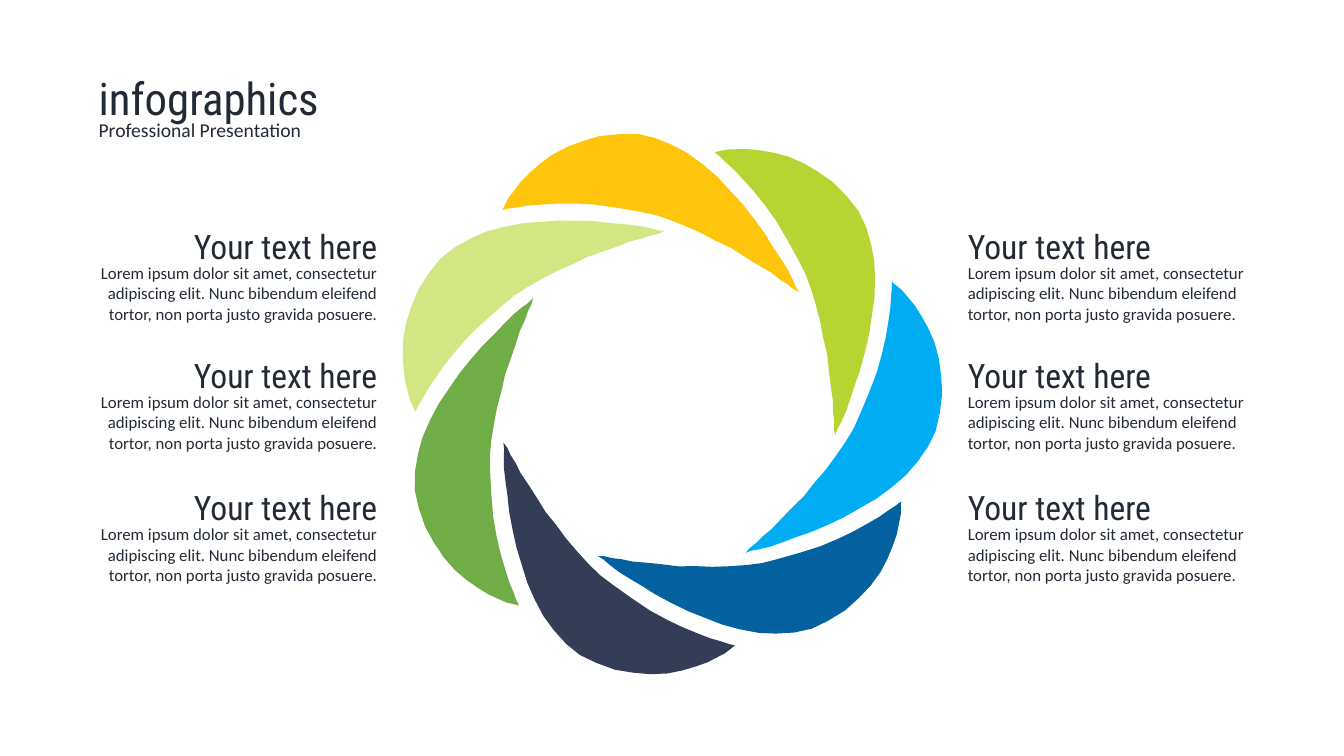
import math
from dataclasses import dataclass

import pptx
import pptx.dml.color
import pptx.enum.text
import pptx.util


@dataclass(frozen=True)
class Theme:
    ink: str = "222A35"
    blades: tuple = ("70AD47", "D3E684", "FFC50C", "B6D532",
                     "00ADF2", "03619F", "333D56")
    head_font: str = "Roboto Condensed"
    body_font: str = "Calibri"
    title: int = 32
    subtitle: int = 14
    heading: int = 24
    body: int = 12


THEME = Theme()
SLIDE_W, SLIDE_H = pptx.util.Inches(13.33), pptx.util.Inches(7.5)
CELL = SLIDE_H / 750  # the layout grid has 750 rows of square cells

LEFT = pptx.enum.text.PP_ALIGN.LEFT
RIGHT = pptx.enum.text.PP_ALIGN.RIGHT

HEADING = "Your text here"
BODY = ("Lorem ipsum dolor sit amet, consectetur adipiscing elit. "
        "Nunc bibendum eleifend tortor, non porta justo gravida posuere.")

# One blade in cells from the wheel's centre: outer edge, then inner edge
BLADE = [
    (-165, -190), (-164, -191), (-162, -195), (-159, -201), (-153, -209),
    (-147, -217), (-138, -226), (-128, -235), (-116, -244), (-101, -252),
    (-85, -258), (-68, -263), (-48, -265), (-30, -265), (-13, -261),
    (4, -254), (19, -246), (34, -235), (48, -223), (61, -209),
    (73, -196), (84, -182), (95, -167), (103, -154), (111, -142),
    (118, -131), (123, -121), (126, -114), (129, -109), (130, -108),
    (128, -109), (124, -111), (118, -116), (110, -121), (101, -128),
    (89, -135), (76, -143), (62, -152), (47, -159), (32, -167),
    (16, -174), (1, -180), (-14, -185), (-29, -188), (-52, -192),
    (-73, -195), (-92, -196), (-110, -196), (-126, -195), (-139, -194),
    (-151, -192), (-159, -191), (-163, -190),
]
YELLOW = 2  # position in the wheel of the blade outlined above


def rgb(color):
    return pptx.dml.color.RGBColor.from_string(color)


def add_text(shapes, box, text, font, size, align=LEFT):
    """Place one line or paragraph in a box given in cells."""
    tb = shapes.add_textbox(*(round(v * CELL) for v in box))
    tf = tb.text_frame
    tf.word_wrap = True
    tf.auto_size = pptx.enum.text.MSO_AUTO_SIZE.SHAPE_TO_FIT_TEXT
    p = tf.paragraphs[0]
    p.alignment = align
    r = p.add_run()
    r.text = text
    r.font.name = font
    r.font.size = pptx.util.Pt(size)
    r.font.color.rgb = rgb(THEME.ink)


def add_title(s, x, y, w):
    shapes = s.shapes.add_group_shape().shapes
    add_text(shapes, (x, y, w, 64), "infographics",
             THEME.head_font, THEME.title)
    add_text(shapes, (x, y + 47, w, 34), "Professional Presentation",
             THEME.body_font, THEME.subtitle)


def add_text_block(s, x, y, w, align):
    add_text(s.shapes, (x, y + 37, w, 71), BODY,
             THEME.body_font, THEME.body, align)
    add_text(s.shapes, (x, y, w, 50), HEADING,
             THEME.head_font, THEME.heading, align)


def add_wheel(s, cx, cy):
    shapes = s.shapes.add_group_shape().shapes
    for i, color in enumerate(THEME.blades):
        # Each blade is the same outline, turned by an equal step
        turn = math.tau * (i - YELLOW) / len(THEME.blades)
        cos, sin = math.cos(turn), math.sin(turn)
        points = [((cx + x * cos - y * sin) * CELL,
                   (cy + x * sin + y * cos) * CELL) for x, y in BLADE]
        fb = shapes.build_freeform(*points[0])
        fb.add_line_segments(points[1:], close=True)
        sp = fb.convert_to_shape()
        sp.shadow.inherit = False
        sp.fill.solid()
        sp.fill.fore_color.rgb = rgb(color)
        sp.line.fill.background()


def main():
    prs = pptx.Presentation()
    prs.slide_width, prs.slide_height = SLIDE_W, SLIDE_H
    s = prs.slides.add_slide(prs.slide_layouts[6])

    # Text columns on both sides of the wheel
    for y in (219, 347, 478):
        add_text_block(s, 950, y, 321, LEFT)
        add_text_block(s, 63, y, 321, RIGHT)

    # Wheel and title
    add_wheel(s, 663, 398)
    add_title(s, 88, 65, 1157)

    prs.save("out.pptx")


if __name__ == "__main__":
    main()
